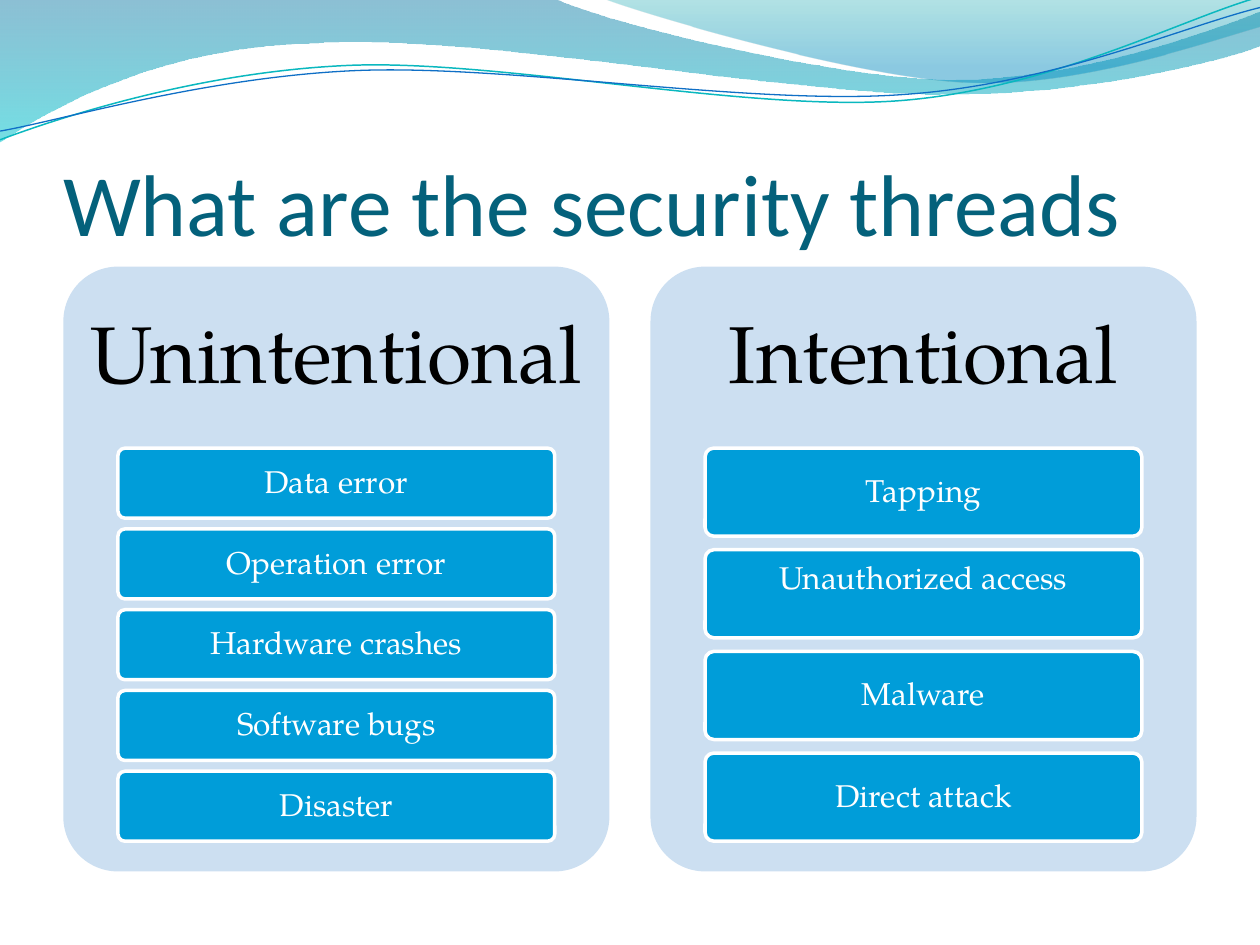
from dataclasses import dataclass

from lxml import etree
from pptx import Presentation
from pptx.dml.color import RGBColor
from pptx.enum.shapes import MSO_SHAPE
from pptx.enum.text import MSO_ANCHOR, PP_ALIGN
from pptx.oxml.ns import qn
from pptx.util import Pt

ROUNDED = MSO_SHAPE.ROUNDED_RECTANGLE
MIDDLE = MSO_ANCHOR.MIDDLE
BOTTOM = MSO_ANCHOR.BOTTOM
LEFT = PP_ALIGN.LEFT
CENTER = PP_ALIGN.CENTER

WHITE = RGBColor(0xFF, 0xFF, 0xFF)
BLACK = RGBColor(0x00, 0x00, 0x00)
TITLE_TEAL = RGBColor(0x04, 0x61, 0x7B)
PANEL_BLUE = RGBColor(0xCC, 0xDF, 0xF1)
ITEM_BLUE = RGBColor(0x00, 0x9D, 0xD9)
WAVE_BLUE = RGBColor(0x00, 0x74, 0xA1)
WAVE_CYAN = RGBColor(0x00, 0xC6, 0xCF)
CREST_TEAL = RGBColor(0x00, 0xA1, 0xA9)
CREST_BLUE = RGBColor(0x00, 0x8B, 0xBF)
LINE_TEAL = RGBColor(0x0A, 0xB8, 0xBF)
LINE_BLUE = RGBColor(0x0F, 0x6F, 0xC6)

TITLE_FONT = "Calibri"
BODY_FONT = "TeX Gyre Pagella"

PANEL_TOP = 152.4
PANEL_WIDTH = 312
PANEL_HEIGHT = 345.6
PANEL_LEFT = 36.2
PANEL_PITCH = 335.5
HEADER_HEIGHT = 0.3 * PANEL_HEIGHT
ITEMS_HEIGHT = 0.65 * PANEL_HEIGHT
ITEM_WIDTH = 0.8 * PANEL_WIDTH
GAP_RATIO = 1 / 6.5


@dataclass
class GradientStop:
    position: float
    color: RGBColor
    opacity: int


@dataclass
class Wave:
    segments: list[tuple[float, ...]]
    stops: tuple[GradientStop, ...] = ()
    line_color: RGBColor | None = None
    line_width: float = 0


@dataclass
class Item:
    text: str
    bottom_inset: float = 3


@dataclass
class Panel:
    heading: str
    items: list[Item]


WAVES = [
    Wave(
        [
            (0, 0),
            (317, -0.7),
            (343, 12.2, 478, 45.4, 546, 45.4),
            (614, 45.4, 690, 18.7, 720, 6.5),
            (720.7, 25.9),
            (708, 31.7, 626, 54.7, 537, 54),
            (448, 54, 275, 20.2, 185, 24.5),
            (93, 25.9, 33, 59.8, -0.7, 81.4),
        ],
        (GradientStop(0, WAVE_BLUE, 45), GradientStop(1, WAVE_CYAN, 55)),
    ),
    Wave(
        [
            (345, -0.7),
            (366.5, 7.9, 491, 44.6, 553.7, 46.8),
            (616.3, 49.7, 692, 23, 720, 15.1),
            (720, 0),
        ],
        (GradientStop(0, CREST_TEAL, 30), GradientStop(0.8, CREST_BLUE, 45)),
    ),
    Wave(
        [
            (0, 79.9),
            (34.6, 67, 113.8, 41, 199.4, 37.4),
            (284.4, 33.8, 427, 64.1, 513.4, 57.6),
            (599.8, 51.1, 675.4, 10.8, 718.6, -1.4),
        ],
        line_color=LINE_TEAL,
        line_width=0.85,
    ),
    Wave(
        [
            (0, 74.9),
            (33.8, 69.1, 118, 43.9, 203.8, 40.3),
            (290.2, 36.7, 429.8, 60.5, 516.2, 54),
            (602, 48.2, 676, 15.1, 720, 4.3),
        ],
        line_color=LINE_BLUE,
        line_width=0.75,
    ),
]

PANELS = [
    Panel("Unintentional", [
        Item("Data error"),
        Item("Operation error"),
        Item("Hardware crashes"),
        Item("Software bugs"),
        Item("Disaster"),
    ]),
    Panel("Intentional", [
        Item("Tapping"),
        Item("Unauthorized access", bottom_inset=20),
        Item("Malware"),
        Item("Direct attack"),
    ]),
]


def bend_segments(shape, segments: list[tuple[float, ...]]) -> None:
    for line, segment in zip(list(shape.element.spPr.iter(qn("a:lnTo"))), segments):
        if len(segment) == 2:
            continue
        line.clear()
        curve = etree.Element(qn("a:cubicBezTo"))
        for x, y in zip(segment[::2], segment[1::2]):
            etree.SubElement(curve, qn("a:pt"), x=str(Pt(x) - shape.left), y=str(Pt(y) - shape.top))
        line.getparent().replace(line, curve)


def draw_wave(slide, wave: Wave) -> None:
    anchors = [(Pt(segment[-2]), Pt(segment[-1])) for segment in wave.segments]
    builder = slide.shapes.build_freeform(*anchors[0])
    builder.add_line_segments(anchors[1:], close=bool(wave.stops))
    shape = builder.convert_to_shape()
    bend_segments(shape, wave.segments[1:])
    shape.shadow.inherit = False
    if not wave.stops:
        shape.fill.background()
        shape.line.color.rgb = wave.line_color
        shape.line.width = Pt(wave.line_width)
        return
    shape.line.fill.background()
    shape.fill.gradient()
    shape.fill.gradient_angle = 270
    for target, stop in zip(shape.fill.gradient_stops, wave.stops):
        target.position = stop.position
        target.color.rgb = stop.color
    for color, stop in zip(shape.element.spPr.iter(qn("a:srgbClr")), wave.stops):
        etree.SubElement(color, qn("a:alpha"), val=str(stop.opacity * 1000))


def write_text(shape, text: str, size: float, color: RGBColor, font: str = BODY_FONT,
               alignment=CENTER, anchor=MIDDLE, insets=(4, 3, 4, 3)) -> None:
    frame = shape.text_frame
    frame.word_wrap = True
    frame.vertical_anchor = anchor
    frame.margin_left, frame.margin_top, frame.margin_right, frame.margin_bottom = map(Pt, insets)
    paragraph = frame.paragraphs[0]
    paragraph.alignment = alignment
    paragraph.line_spacing = 0.9 if font == BODY_FONT else 1.0
    run = paragraph.add_run()
    run.text = text
    run.font.name = font
    run.font.size = Pt(size)
    run.font.color.rgb = color


def add_rounded(slide, left: float, top: float, width: float, height: float, color: RGBColor):
    shape = slide.shapes.add_shape(ROUNDED, Pt(left), Pt(top), Pt(width), Pt(height))
    shape.adjustments[0] = 0.1
    shape.shadow.inherit = False
    shape.fill.solid()
    shape.fill.fore_color.rgb = color
    shape.line.fill.background()
    return shape


def draw_panel(slide, panel: Panel, left: float) -> None:
    add_rounded(slide, left, PANEL_TOP, PANEL_WIDTH, PANEL_HEIGHT, PANEL_BLUE)
    heading = slide.shapes.add_textbox(Pt(left), Pt(PANEL_TOP), Pt(PANEL_WIDTH), Pt(HEADER_HEIGHT))
    write_text(heading, panel.heading, 46, BLACK, insets=(0, 14, 0, 14))
    count = len(panel.items)
    height = ITEMS_HEIGHT / (count + (count - 1) * GAP_RATIO)
    item_left = left + (PANEL_WIDTH - ITEM_WIDTH) / 2
    for index, item in enumerate(panel.items):
        top = PANEL_TOP + HEADER_HEIGHT + index * height * (1 + GAP_RATIO)
        shape = add_rounded(slide, item_left, top, ITEM_WIDTH, height, ITEM_BLUE)
        shape.line.color.rgb = WHITE
        shape.line.width = Pt(2)
        write_text(shape, item.text, 18, WHITE, insets=(4, 3, 4, item.bottom_inset))


presentation = Presentation()
presentation.slide_width, presentation.slide_height = Pt(720), Pt(540)
slide = presentation.slides.add_slide(presentation.slide_layouts[5])
for wave in WAVES:
    draw_wave(slide, wave)
title = slide.shapes.title
title.left, title.top, title.width, title.height = Pt(36), Pt(55.4), Pt(648), Pt(90)
write_text(title, "What are the security threads", 50, TITLE_TEAL, TITLE_FONT, LEFT, BOTTOM, (0, 3.6, 0, 0))
for index, panel in enumerate(PANELS):
    draw_panel(slide, panel, PANEL_LEFT + index * PANEL_PITCH)
presentation.save("out.pptx")
